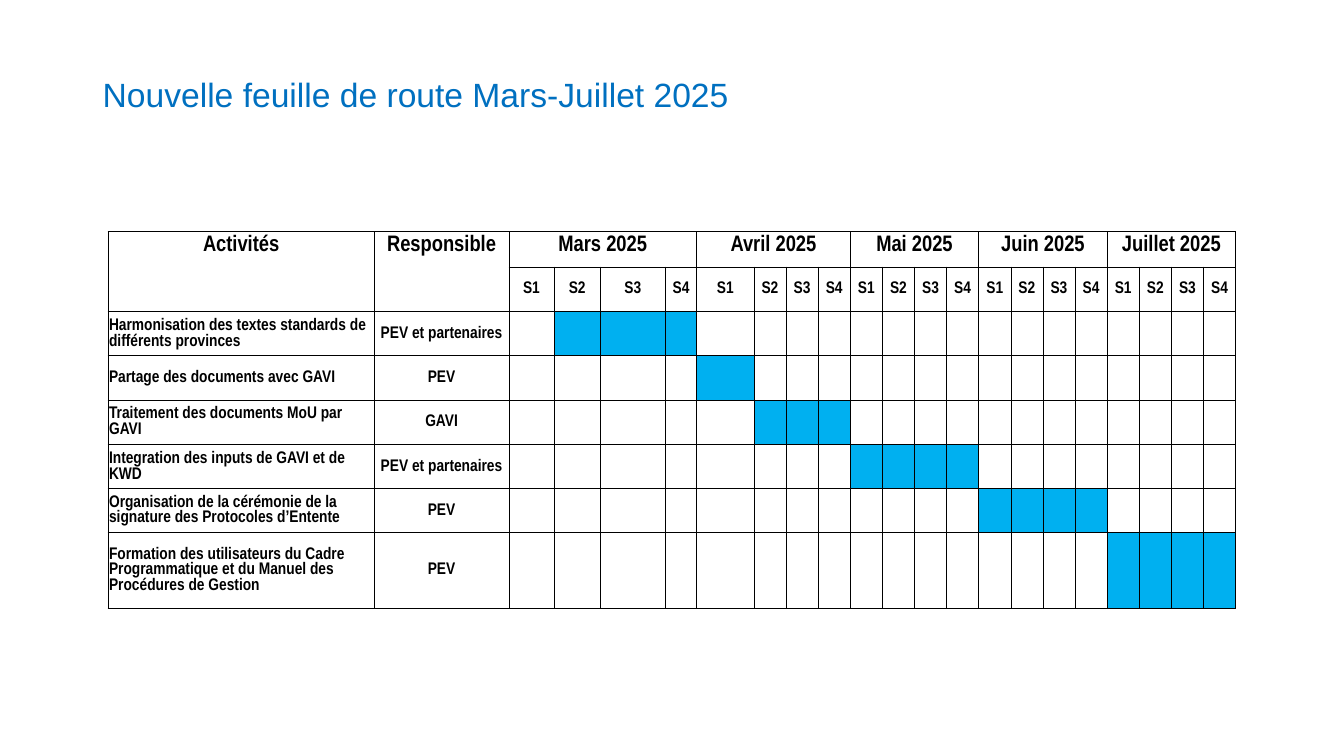
"""Build the roadmap slide: a title above a weekly planning table."""
from dataclasses import dataclass

from lxml.etree import SubElement
from pptx import Presentation
from pptx.dml.color import RGBColor
from pptx.enum.text import MSO_ANCHOR, PP_ALIGN
from pptx.oxml.ns import qn
from pptx.slide import Slide
from pptx.table import Table, _Cell
from pptx.text.text import TextFrame
from pptx.util import Inches, Pt

SLIDE_WIDTH, SLIDE_HEIGHT = Inches(13.33), Inches(7.5)
BLACK, WHITE, TITLE_BLUE, BAR_BLUE = "000000", "FFFFFF", "0070C0", "00B0F0"
BORDER_WIDTH = Pt(0.5)
MONTHS = ("Mars 2025", "Avril 2025", "Mai 2025", "Juin 2025", "Juillet 2025")
WEEKS = ("S1", "S2", "S3", "S4")
HEADINGS = ("Activités", "Responsible")
FIRST_WEEK_COLUMN = len(HEADINGS)
HEADER_ROWS = 2
COLUMN_SHARES = [2.65, 1.34, 0.45, 0.46, 0.65, 0.31, 0.57] + [0.32] * 15
ROW_SHARES = [0.35] + [0.44] * 5 + [0.43, 0.76]
HEADING_MARGINS = (0.07, 0.04, 0.07, 0.04)
BODY_MARGINS = (0.01, 0.01, 0.01, 0)


@dataclass(frozen=True)
class Area:
    """A rectangle in percent of the slide's width and height."""

    left: float
    top: float
    width: float
    height: float

    def bounds(self) -> tuple[int, int, int, int]:
        """Return left, top, width and height in slide units."""
        return (
            round(self.left * SLIDE_WIDTH / 100),
            round(self.top * SLIDE_HEIGHT / 100),
            round(self.width * SLIDE_WIDTH / 100),
            round(self.height * SLIDE_HEIGHT / 100),
        )


@dataclass(frozen=True)
class Activity:
    """One table row with its bar, in weeks counted from zero."""

    label: str
    responsible: str
    start: int
    duration: int


TITLE_AREA = Area(6.9, 5.33, 86.25, 14.8)
TABLE_AREA = Area(8.04, 30.63, 83.95, 49.87)
ACTIVITIES = (
    Activity("Harmonisation des textes standards de différents provinces", "PEV et partenaires", 1, 3),
    Activity("Partage des documents avec GAVI", "PEV", 4, 1),
    Activity("Traitement des documents MoU par GAVI", "GAVI", 5, 3),
    Activity("Integration des inputs de GAVI et de KWD", "PEV et partenaires", 8, 4),
    Activity("Organisation de la cérémonie de la signature des Protocoles d’Entente", "PEV", 12, 4),
    Activity(
        "Formation des utilisateurs du Cadre Programmatique et du Manuel des Procédures de Gestion",
        "PEV", 16, 4,
    ),
)


def color(value: str) -> RGBColor:
    """Turn a hex string into a colour."""
    return RGBColor.from_string(value)


def write_text(
    frame: TextFrame,
    text: str,
    *,
    size: float = 12,
    font: str = "Arial Narrow",
    fill: str = BLACK,
    bold: bool = True,
    align: PP_ALIGN = PP_ALIGN.CENTER,
    line_spacing: float = 1.0,
) -> None:
    """Write one formatted paragraph into a text frame."""
    paragraph = frame.paragraphs[0]
    paragraph.alignment = align
    paragraph.line_spacing = line_spacing
    run = paragraph.add_run()
    run.text = text
    run.font.size = Pt(size)
    run.font.name = font
    run.font.bold = bold
    run.font.color.rgb = color(fill)


def fill_cell(cell: _Cell, value: str) -> None:
    """Give a cell a solid fill."""
    cell.fill.solid()
    cell.fill.fore_color.rgb = color(value)


def style_cell(cell: _Cell) -> None:
    """Give a cell black borders, a white fill and small body margins."""
    properties = cell._tc.get_or_add_tcPr()
    for side in ("a:lnL", "a:lnR", "a:lnT", "a:lnB"):
        line = SubElement(properties, qn(side), w=str(BORDER_WIDTH))
        solid = SubElement(line, qn("a:solidFill"))
        SubElement(solid, qn("a:srgbClr"), val=BLACK)
    fill_cell(cell, WHITE)
    set_layout(cell, BODY_MARGINS, MSO_ANCHOR.MIDDLE)
    cell.text_frame.paragraphs[0].font.size = Pt(12)


def set_layout(cell: _Cell, margins: tuple[float, ...], anchor: MSO_ANCHOR) -> None:
    """Set a cell's margins in inches and its vertical anchor."""
    cell.margin_left, cell.margin_top, cell.margin_right, cell.margin_bottom = map(Inches, margins)
    cell.vertical_anchor = anchor


def add_heading(table: Table, text: str, column: int, last_row: int, last_column: int) -> None:
    """Merge cells from the top row and write a heading in them."""
    cell = table.cell(0, column)
    cell.merge(table.cell(last_row, last_column))
    set_layout(cell, HEADING_MARGINS, MSO_ANCHOR.TOP)
    write_text(cell.text_frame, text, size=16)


def add_header(table: Table) -> None:
    """Write the column headings, months and weeks."""
    for column, heading in enumerate(HEADINGS):
        add_heading(table, heading, column, HEADER_ROWS - 1, column)
    for index, month in enumerate(MONTHS):
        first = FIRST_WEEK_COLUMN + index * len(WEEKS)
        add_heading(table, month, first, 0, first + len(WEEKS) - 1)
        for offset, week in enumerate(WEEKS):
            write_text(table.cell(1, first + offset).text_frame, week)


def add_activity(table: Table, row: int, activity: Activity) -> None:
    """Write an activity and colour its weeks."""
    write_text(table.cell(row, 0).text_frame, activity.label, align=PP_ALIGN.LEFT)
    write_text(table.cell(row, 1).text_frame, activity.responsible)
    first = FIRST_WEEK_COLUMN + activity.start
    for column in range(first, first + activity.duration):
        fill_cell(table.cell(row, column), BAR_BLUE)


def add_planning(slide: Slide) -> None:
    """Add the planning table."""
    left, top, width, height = TABLE_AREA.bounds()
    table = slide.shapes.add_table(
        len(ROW_SHARES), len(COLUMN_SHARES), left, top, width, height
    ).table
    table.first_row = table.horz_banding = False
    for column, share in zip(table.columns, COLUMN_SHARES):
        column.width = round(width * share / sum(COLUMN_SHARES))
    for row, share in zip(table.rows, ROW_SHARES):
        row.height = round(height * share / sum(ROW_SHARES))
    for cell in table.iter_cells():
        style_cell(cell)
    add_header(table)
    for row, activity in enumerate(ACTIVITIES, start=HEADER_ROWS):
        add_activity(table, row, activity)


def add_title(slide: Slide) -> None:
    """Add the slide title."""
    frame = slide.shapes.add_textbox(*TITLE_AREA.bounds()).text_frame
    frame.word_wrap = True
    frame.vertical_anchor = MSO_ANCHOR.MIDDLE
    write_text(
        frame, "Nouvelle feuille de route Mars-Juillet 2025", size=24, font="Arial",
        fill=TITLE_BLUE, bold=False, align=PP_ALIGN.LEFT, line_spacing=0.9,
    )


def main() -> None:
    """Build and save the presentation."""
    presentation = Presentation()
    presentation.slide_width, presentation.slide_height = SLIDE_WIDTH, SLIDE_HEIGHT
    slide = presentation.slides.add_slide(presentation.slide_layouts[6])
    add_title(slide)
    add_planning(slide)
    presentation.save("out.pptx")


if __name__ == "__main__":
    main()
